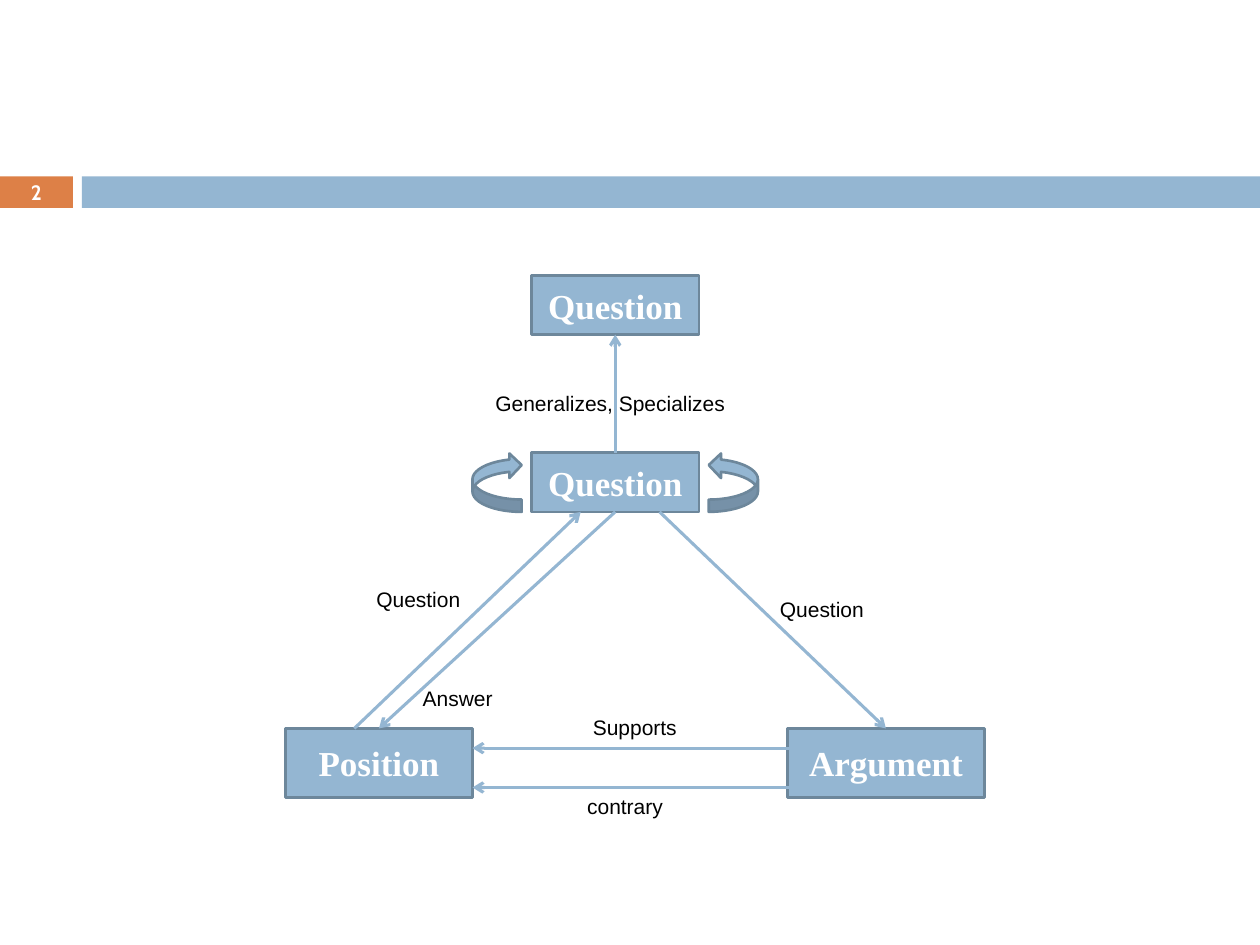
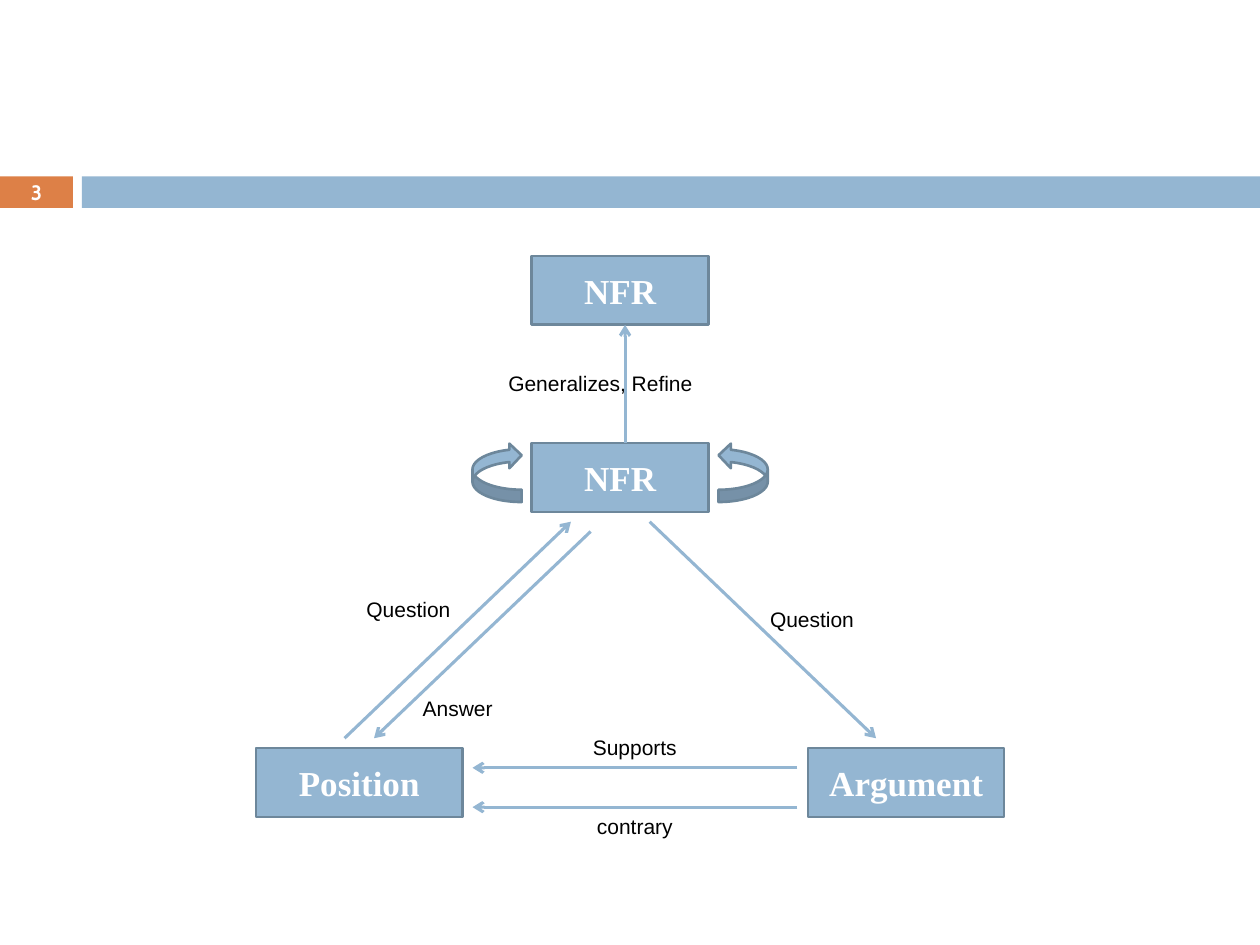
from pptx import Presentation, util as u
from pptx.dml.color import RGBColor
from pptx.enum import shapes, text
from pptx.oxml import parse_xml
from pptx.oxml.ns import nsdecls, qn

COLUMNS, ROWS = 128, 96
TOP, BOTTOM = 0, 2  # connection sites of a rectangle


def color(value):
    return RGBColor.from_string(value)


class Deck:
    """Style, grid and current slide."""
    BLUE, EDGE, ORANGE = "94B6D2", "6D879B", "DD8047"
    WHITE, BLACK = "FFFFFF", "000000"

    def __init__(self):
        self.prs = Presentation()
        self.prs.slide_width, self.prs.slide_height = u.Inches(10), u.Inches(7.5)
        self.slide = None

    def x(self, column):
        return round(self.prs.slide_width * column / COLUMNS)

    def y(self, row):
        return round(self.prs.slide_height * row / ROWS)

    def place(self, left, top, width, height):
        return self.x(left), self.y(top), self.x(width), self.y(height)

    def set_words(self, shape, words, size, font, ink, bold=False):
        frame = shape.text_frame
        frame.word_wrap = True
        frame.text = words
        paragraph = frame.paragraphs[0]
        paragraph.alignment = text.PP_ALIGN.CENTER
        style = paragraph.runs[0].font
        style.size, style.name, style.bold = u.Pt(size), font, bold
        style.color.rgb = color(ink)

    def block(self, kind, place, fill, edge=None):
        shape = self.slide.shapes.add_shape(kind, *self.place(*place))
        shape.shadow.inherit = False
        shape.fill.solid()
        shape.fill.fore_color.rgb = color(fill)
        if edge:
            shape.line.color.rgb = color(edge)
            shape.line.width = u.Pt(1.5)
        else:
            shape.line.fill.background()
        return shape

    def new_slide(self, number):
        """Start a slide with its band and number."""
        self.slide = self.prs.slides.add_slide(self.prs.slide_layouts[6])
        rect = shapes.MSO_SHAPE.RECTANGLE
        self.block(rect, (0, 17.92, 7.42, 3.2), self.ORANGE)
        self.block(rect, (8.32, 17.92, 119.68, 3.2), self.BLUE)
        counter = self.slide.shapes.add_textbox(*self.place(0, 17.8, 7.42, 3.45))
        counter.text_frame.vertical_anchor = text.MSO_ANCHOR.MIDDLE
        self.set_words(counter, str(number), 11.9, "Cabin", self.WHITE, True)

    def node(self, words, *place):
        box = self.block(shapes.MSO_SHAPE.RECTANGLE, place, self.BLUE, self.EDGE)
        box.text_frame.vertical_anchor = text.MSO_ANCHOR.MIDDLE
        self.set_words(box, words, 20, "Times New Roman", self.WHITE, True)
        return box

    def label(self, words, left, top, width=13):
        box = self.slide.shapes.add_textbox(*self.place(left, top, width, 4))
        self.set_words(box, words, 12, "Arial", self.BLACK)

    def arrow(self, start, end, start_join=None, end_join=None):
        """Draw an arrow; a join is a (node, site) pair."""
        line = self.slide.shapes.add_connector(
            shapes.MSO_CONNECTOR.STRAIGHT,
            self.x(start[0]), self.y(start[1]), self.x(end[0]), self.y(end[1]))
        if start_join:
            line.begin_connect(*start_join)
        if end_join:
            line.end_connect(*end_join)
        line.line.color.rgb = color(self.BLUE)
        line.line.width = u.Pt(1.75)
        properties = line.element.spPr
        properties.find(qn("a:ln")).append(
            parse_xml(f'<a:tailEnd {nsdecls("a")} type="arrow"/>'))
        properties.append(parse_xml(f'<a:effectLst {nsdecls("a")}/>'))

    def loops(self, left, right, top):
        """Draw the two curved arrows beside the middle node."""
        for kind, column in ((shapes.MSO_SHAPE.CURVED_LEFT_ARROW, right),
                             (shapes.MSO_SHAPE.CURVED_RIGHT_ARROW, left)):
            loop = self.block(kind, (column, top, 5, 6), self.BLUE, self.EDGE)
            loop.element.spPr.find(qn("a:xfrm")).set("flipV", "1")

    def exchange(self, upper, contrary_left):
        """Draw the two arrows from argument to position."""
        for row in (upper, upper + 4):
            self.arrow((81, row), (48, row))
        self.label("Supports", 58, upper - 4)
        self.label("contrary", contrary_left, upper + 4)


def question_slide(deck):
    deck.new_slide(2)
    # Nodes
    general = deck.node("Question", 54, 28, 17, 6)
    question = deck.node("Question", 54, 46, 17, 6)
    position = deck.node("Position", 29, 74, 19, 7)
    deck.node("Argument", 80, 74, 20, 7)
    # Relations
    deck.arrow((62.5, 46), (62.5, 34), (question, TOP), (general, BOTTOM))
    deck.label("Generalizes, Specializes", 45, 39, 34)
    deck.arrow((36, 74), (59, 52))
    deck.arrow((62.5, 52), (38.5, 74), (question, BOTTOM), (position, TOP))
    deck.arrow((67, 52), (90, 74))
    deck.label("Question", 36, 59)
    deck.label("Answer", 40, 69)
    deck.label("Question", 77, 60)
    deck.exchange(76, 57)
    deck.loops(48, 72, 46)


def nfr_slide(deck):
    deck.new_slide(3)
    # Nodes
    deck.node("NFR", 54, 26, 18, 7)
    deck.node("NFR", 54, 45, 18, 7)
    deck.node("Position", 26, 76, 21, 7)
    deck.node("Argument", 82.1, 76, 19.9, 7)
    # Relations
    deck.label("Generalizes, Refine", 44, 37, 34)
    deck.arrow((63.5, 45), (63.5, 33))
    deck.arrow((35, 75), (58, 53))
    deck.arrow((60, 54), (38, 75))
    deck.arrow((66, 53), (89, 75))
    deck.label("Question", 35, 60)
    deck.label("Answer", 40, 70)
    deck.label("Question", 76, 61)
    deck.exchange(78, 58)
    deck.loops(48, 73, 45)


def main():
    deck = Deck()
    question_slide(deck)
    nfr_slide(deck)
    deck.prs.save("out.pptx")


if __name__ == "__main__":
    main()
